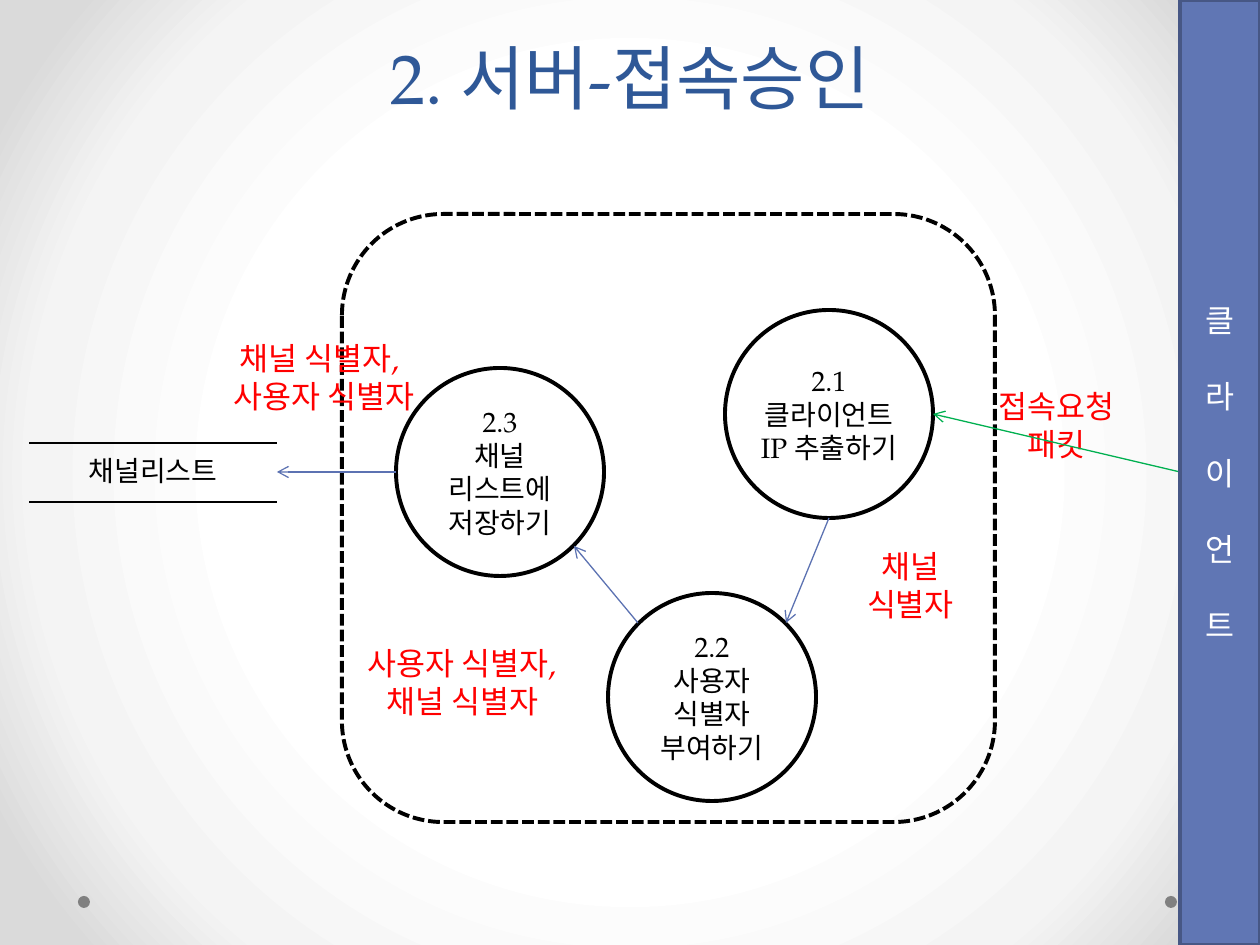
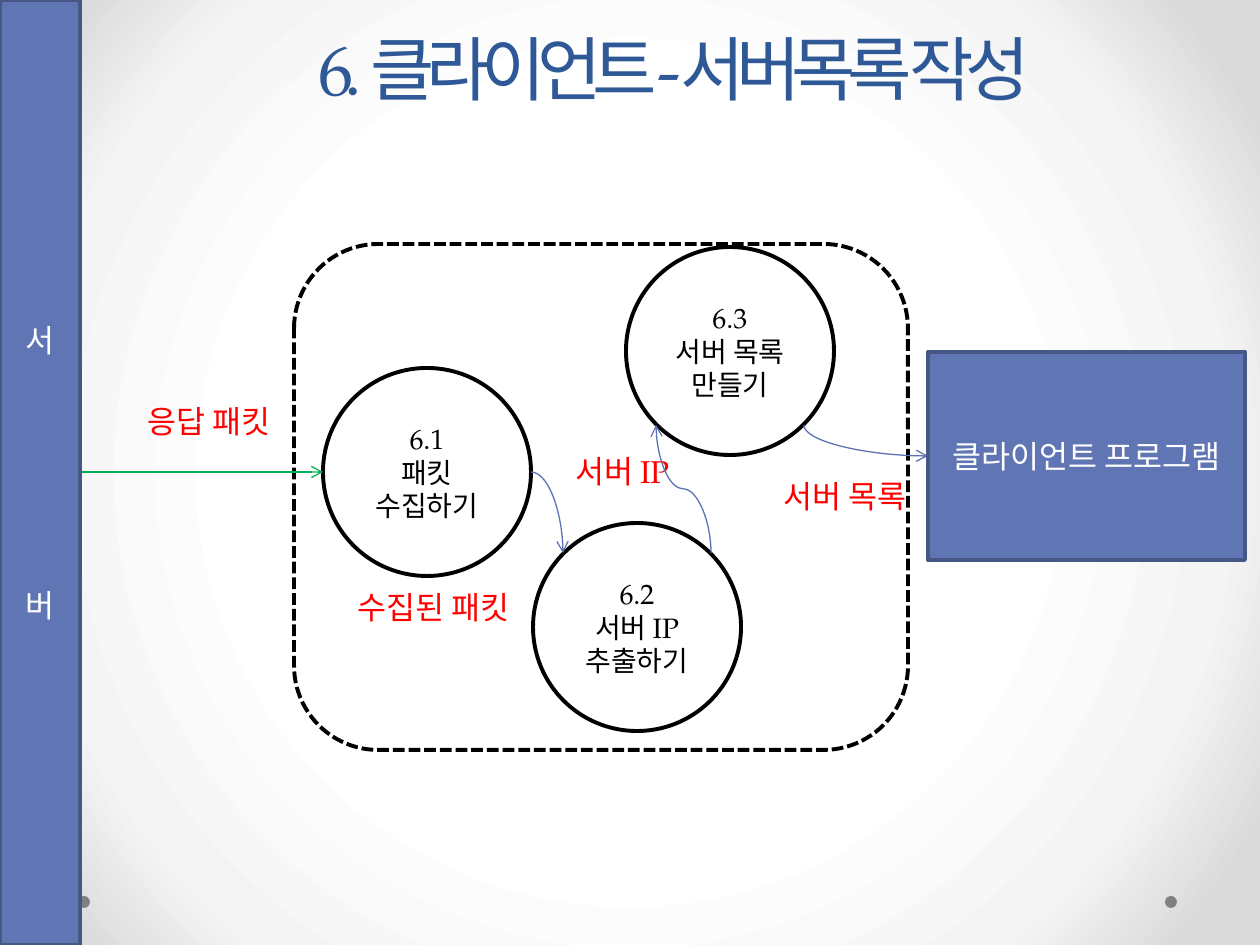
from lxml.etree import SubElement
from pptx import Presentation
from pptx.dml.color import RGBColor
from pptx.enum.dml import MSO_LINE
from pptx.enum.shapes import MSO_CONNECTOR, MSO_SHAPE
from pptx.enum.text import MSO_ANCHOR, MSO_AUTO_SIZE, PP_ALIGN
from pptx.oxml.ns import qn
from pptx.util import Pt

PX = 914400 / 126
WIDE, HIGH = 1260, 945
FONT = "TeX Gyre Pagella"
BLUE, EDGE, NAVY, WIRE = "6076B4", "475785", "2F5897", "5C72B2"
BLACK, WHITE, RED, GREEN, GRAY = "000000", "FFFFFF", "FF0000", "00B050", "808080"
GLOW = [(50, WHITE), (76, "F4F4F4"), (92, "DADADA")]
RAD, DIAG = 104, 74  # circle radius and its 45 degree offset
BAND = 80
PORTS = {"l": (-RAD, 0), "r": (RAD, 0), "b": (0, RAD),
         "tl": (-DIAG, -DIAG), "tr": (DIAG, -DIAG),
         "bl": (-DIAG, DIAG), "br": (DIAG, DIAG)}

# Content. A wire end is a (step, port) pair or a plain (x, y) point.
SLIDES = [
    dict(
        title=("2. 서버-접속승인", (63, 0, 1134, 125), 0),
        frame=(342, 214, 653, 608),
        band=(WIDE - BAND, "클라이언트", 22),
        steps={"2.1": ((829, 414), ["클라이언트 IP 추출하기"]),
               "2.2": ((712, 697), ["사용자 식별자 부여하기"]),
               "2.3": ((500, 472), ["채널 리스트에 저장하기"])},
        labels=[((962, 381, 189, 89), ["접속요청 패킷"]),
                ((816, 541, 189, 89), ["채널", "식별자"]),
                ((338, 638, 248, 127), ["사용자 식별자, 채널 식별자"]),
                ((175, 333, 297, 89), ["채널 식별자, ", "사용자 식별자"])],
        align=PP_ALIGN.CENTER,
        wires=[((WIDE - BAND, 472), ("2.1", "r"), GREEN, "line"),
               (("2.1", "b"), ("2.2", "tr"), WIRE, "line"),
               (("2.2", "tl"), ("2.3", "br"), WIRE, "line"),
               (("2.3", "l"), (277, 472), WIRE, "line")],
        store=((29, 443, 248, 59), "채널리스트"),
    ),
    dict(
        title=("6. 클라이언트-서버목록 작성", (63, 0, 1222, 116), -500),
        frame=(294, 244, 614, 506),
        band=(0, "서버", 130),
        steps={"6.1": ((427, 472), ["패킷 수집하기"]),
               "6.2": ((637, 627), ["서버 IP 추출하기"]),
               "6.3": ((730, 351), ["서버 목록", "만들기"])},
        labels=[((135, 396, 189, 50), ["응답 패킷"]),
                ((771, 471, 189, 50), ["서버 목록"]),
                ((345, 582, 219, 50), ["수집된 패킷"]),
                ((563, 446, 219, 50), ["서버 IP"])],
        align=PP_ALIGN.LEFT,
        wires=[((BAND, 472), ("6.1", "l"), GREEN, "line"),
               (("6.1", "r"), ("6.2", "tl"), WIRE, "bend"),
               (("6.2", "tr"), ("6.3", "bl"), WIRE, "wave"),
               (("6.3", "br"), (928, 456), WIRE, "drop")],
        box=((928, 352, 317, 208), "클라이언트 프로그램"),
    ),
]


def emu(*vals):
    return [round(v * PX) for v in vals]


def rgb(code):
    return RGBColor.from_string(code)


def write(frame, lines, size, color, align=PP_ALIGN.CENTER, gap=0):
    """Write one paragraph per line, with a gap between them."""
    frame.word_wrap = True
    for i, line in enumerate(lines):
        para = frame.add_paragraph() if i else frame.paragraphs[0]
        para.alignment = align
        if i and gap:
            para.space_before = Pt(gap)
        run = para.add_run()
        run.text = line
        font = run.font
        font.name, font.size = FONT, Pt(size)
        font.color.rgb = rgb(color)


def shape(slide, kind, at, fill=None, edge=None):
    item = slide.shapes.add_shape(kind, *emu(*at))
    item.shadow.inherit = False
    if fill:
        item.fill.solid()
        item.fill.fore_color.rgb = rgb(fill)
    else:
        item.fill.background()
    if edge:
        item.line.color.rgb = rgb(edge)
        item.line.width = Pt(2.25)
    else:
        item.line.fill.background()
    item.text_frame.vertical_anchor = MSO_ANCHOR.MIDDLE
    return item


def backdrop(slide):
    """Round glow behind the slide and the two footer dots."""
    slide.background.fill.gradient()
    grad = slide.element.find(".//" + qn("a:gradFill"))
    for kid in list(grad):
        grad.remove(kid)
    stops = SubElement(grad, qn("a:gsLst"))
    for pos, code in GLOW:
        stop = SubElement(stops, qn("a:gs"), pos=str(pos * 1000))
        SubElement(stop, qn("a:srgbClr"), val=code)
    way = SubElement(grad, qn("a:path"), path="circle")
    SubElement(way, qn("a:fillToRect"), **dict.fromkeys("ltrb", "50000"))
    for x in (78, 1165):
        shape(slide, MSO_SHAPE.OVAL, (x, 896, 12, 12), GRAY)


def heading(slide, text, at, track):
    frame = slide.shapes.add_textbox(*emu(*at)).text_frame
    frame.vertical_anchor = MSO_ANCHOR.BOTTOM
    write(frame, [text], 40, NAVY)
    para = frame.paragraphs[0]
    para.line_spacing = Pt(58)
    if track:
        para.runs[0].font._element.set("spc", str(track))


def step(slide, name, mid, lines):
    x, y = mid
    item = shape(slide, MSO_SHAPE.OVAL,
                 (x - RAD, y - RAD, 2 * RAD, 2 * RAD), WHITE, BLACK)
    frame = item.text_frame
    frame.margin_left = frame.margin_right = emu(5)[0]
    frame.margin_top = frame.margin_bottom = emu(5)[0]
    write(frame, [name] + lines, 16, BLACK)


def label(slide, at, lines, align):
    frame = slide.shapes.add_textbox(*emu(*at)).text_frame
    write(frame, lines, 18, RED, align)
    frame.auto_size = MSO_AUTO_SIZE.SHAPE_TO_FIT_TEXT


def spot(end, steps):
    if end[0] not in steps:
        return end
    (x, y), (dx, dy) = steps[end[0]][0], PORTS[end[1]]
    return x + dx, y + dy


def wire(slide, start, end, color, kind):
    """Arrow; "wave" and "drop" leave upright, so they are turned by 270."""
    (x1, y1), (x2, y2) = start, end
    turned = kind in ("wave", "drop")
    if turned:
        mx, my = (x1 + x2) / 2, (y1 + y2) / 2
        w, h = (y1 - y2) / 2, (x2 - x1) / 2
        x1, y1, x2, y2 = mx - w, my - h, mx + w, my + h
    form = MSO_CONNECTOR.STRAIGHT if kind == "line" else MSO_CONNECTOR.CURVE
    item = slide.shapes.add_connector(form, *emu(x1, y1, x2, y2))
    item.line.color.rgb = rgb(color)
    item.line.width = Pt(0.75)
    props = item._element.spPr
    if turned:
        props.find(qn("a:xfrm")).set("rot", str(270 * 60000))
    if kind in ("bend", "drop"):
        props.find(qn("a:prstGeom")).set("prst", "curvedConnector2")
    SubElement(props.find(qn("a:ln")), qn("a:tailEnd"), type="arrow")
    SubElement(props, qn("a:effectLst"))


def store(slide, at, text):
    """Data store: one cell, ruled above and below."""
    table = slide.shapes.add_table(1, 1, *emu(*at)).table
    table.first_row = table.horz_banding = False
    cell = table.cell(0, 0)
    write(cell.text_frame, [text], 16, BLACK)
    props = cell._tc.get_or_add_tcPr()
    for side in "LRTB":
        rule = SubElement(props, qn("a:ln" + side), w="12700")
        if side in "TB":
            ink = SubElement(rule, qn("a:solidFill"))
            SubElement(ink, qn("a:srgbClr"), val=BLACK)
        else:
            SubElement(rule, qn("a:noFill"))
    cell.fill.background()


def build(slide, data):
    backdrop(slide)
    heading(slide, *data["title"])
    shape(slide, MSO_SHAPE.ROUNDED_RECTANGLE, data["frame"],
          edge=BLACK).line.dash_style = MSO_LINE.SQUARE_DOT
    steps = data["steps"]
    for name, (mid, lines) in steps.items():
        step(slide, name, mid, lines)
    for at, lines in data["labels"]:
        label(slide, at, lines, data["align"])
    for start, end, color, kind in data["wires"]:
        wire(slide, spot(start, steps), spot(end, steps), color, kind)
    # Side band, one letter per paragraph
    x, word, gap = data["band"]
    band = shape(slide, MSO_SHAPE.RECTANGLE, (x, 0, BAND, HIGH), BLUE, EDGE)
    write(band.text_frame, word, 18, WHITE, gap=gap)
    if "store" in data:
        store(slide, *data["store"])
    if "box" in data:
        at, text = data["box"]
        box = shape(slide, MSO_SHAPE.RECTANGLE, at, BLUE, EDGE)
        write(box.text_frame, [text], 18, WHITE)


def main():
    deck = Presentation()
    deck.slide_width, deck.slide_height = emu(WIDE, HIGH)
    for data in SLIDES:
        build(deck.slides.add_slide(deck.slide_layouts[6]), data)
    deck.save("out.pptx")


if __name__ == "__main__":
    main()
